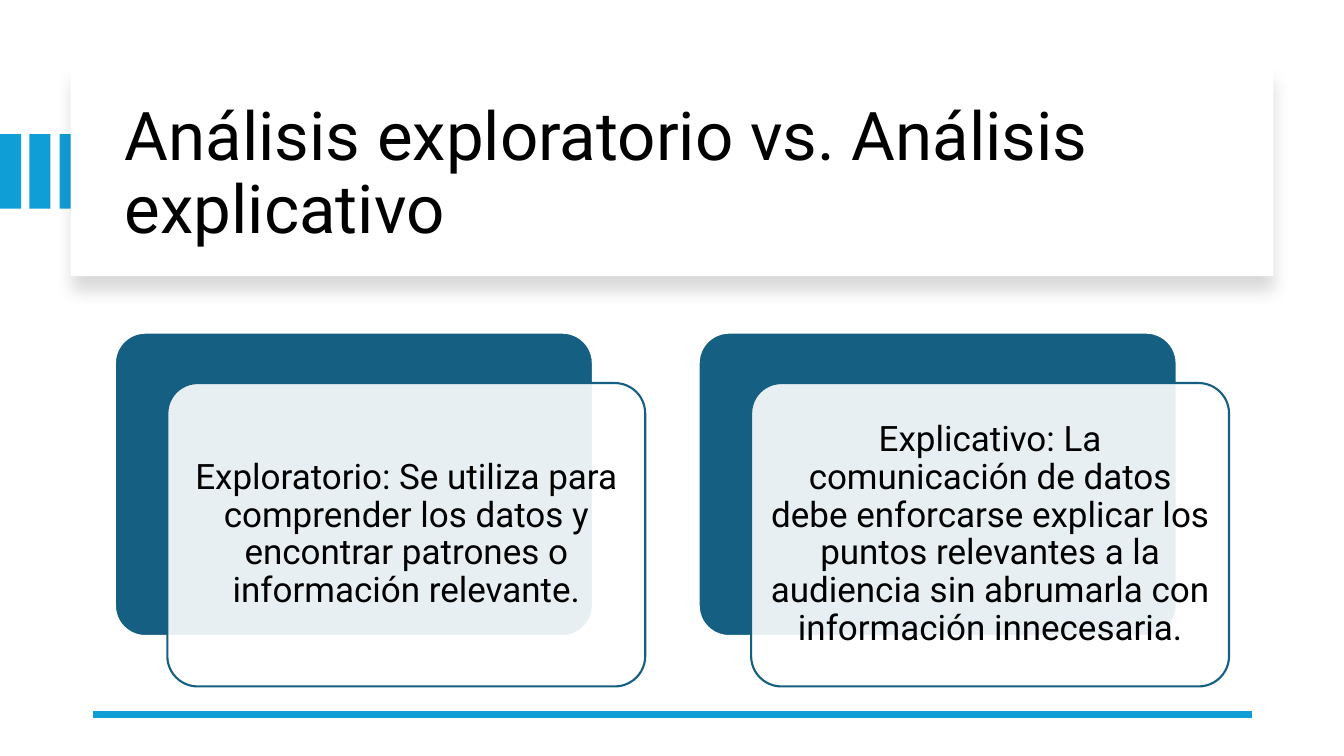
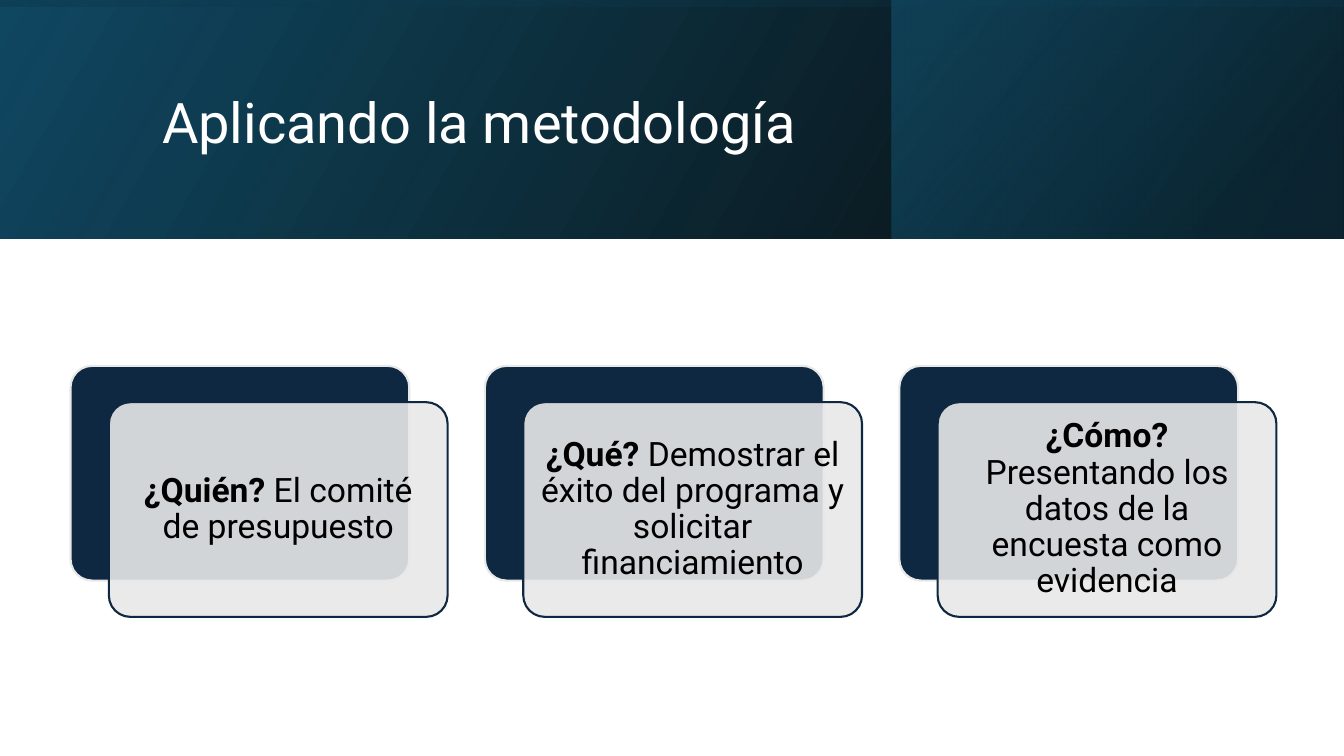
"""Builds two slides that set out paired or triple cards under a title."""
from lxml import etree
from pptx import Presentation
from pptx.dml.color import RGBColor
from pptx.enum.shapes import MSO_CONNECTOR, MSO_SHAPE as SHAPE
from pptx.enum.text import MSO_ANCHOR as ANCHOR, PP_ALIGN as ALIGN
from pptx.oxml import parse_xml
from pptx.oxml.ns import nsdecls, qn
from pptx.util import Pt

PX = 9144
WIDTH, HEIGHT = 1333, 750
FONT = "Roboto"
COLORS = {
    "white": "FFFFFF",
    "black": "000000",
    "sky": "0F9ED5",
    "teal": "156082",
    "deep": "104862",
    "night": "0B3041",
    "navy": "0E2841",
    "mist": "E8E8E8",
}


def rgb(name):
    """Return a palette colour."""
    return RGBColor.from_string(COLORS[name])


def px(*lengths):
    """Turn px lengths into EMU."""
    return [length * PX for length in lengths]


def add_box(slide, box, kind=SHAPE.RECTANGLE, fill=None, line=None):
    """Add a preset shape without shadow, with an optional fill and outline."""
    sp = slide.shapes.add_shape(kind, *px(*box))
    sp.shadow.inherit = False
    if fill:
        sp.fill.solid()
        sp.fill.fore_color.rgb = rgb(fill)
    if line:
        sp.line.color.rgb = rgb(line)
        sp.line.width = Pt(1.5)
    else:
        sp.line.fill.background()
    return sp


def set_alpha(sp, percent):
    """Make a solid fill partly transparent."""
    color = sp.fill._xPr.find(qn("a:solidFill"))[0]
    etree.SubElement(color, qn("a:alpha"), val=str(percent * 1000))


def set_shadow(sp, alpha, blur, distance, angle):
    """Give a shape an outer shadow, with blur and distance in points."""
    effects = sp._element.spPr.find(qn("a:effectLst"))
    effects.append(parse_xml(
        f'<a:outerShdw {nsdecls("a")} blurRad="{Pt(blur)}" dist="{Pt(distance)}" '
        f'dir="{angle * 60000}" algn="t" rotWithShape="0">'
        f'<a:srgbClr val="{COLORS["black"]}"><a:alpha val="{alpha * 1000}"/>'
        '</a:srgbClr></a:outerShdw>'))


def add_gradient(slide, box, stops, angle, rotation=0):
    """Add a mirrored rectangle filled with (position, colour, alpha) stops."""
    sp = add_box(slide, box)
    sp.rotation = rotation
    spPr = sp._element.spPr
    spPr.find(qn("a:xfrm")).set("flipH", "1")
    marks = "".join(
        f'<a:gs pos="{pos * 1000}"><a:srgbClr val="{COLORS[name]}">'
        f'<a:alpha val="{alpha * 1000}"/></a:srgbClr></a:gs>'
        for pos, name, alpha in stops)
    spPr.find(qn("a:prstGeom")).addnext(parse_xml(
        f'<a:gradFill {nsdecls("a")}><a:gsLst>{marks}</a:gsLst>'
        f'<a:lin ang="{angle * 60000}" scaled="0"/></a:gradFill>'))


def write(sp, runs, size, color, align):
    """Write one paragraph of (text, bold) runs, centred vertically."""
    tf = sp.text_frame
    tf.word_wrap = True
    tf.vertical_anchor = ANCHOR.MIDDLE
    p = tf.paragraphs[0]
    p.alignment = align
    p.line_spacing = 0.9
    p.font.name = FONT
    p.font.size = Pt(size)
    p.font.color.rgb = rgb(color)
    for text, bold in runs:
        r = p.add_run()
        r.text = text
        if bold:
            r.font.bold = True
    return tf


def add_title(slide, box, text, size, color):
    """Add the slide title."""
    sp = slide.shapes.add_textbox(*px(*box))
    write(sp, [(text, False)], size, color, ALIGN.LEFT)


def add_card(slide, box, offset, runs, size, dark, light):
    """Add a dark card with a translucent text card shifted over it."""
    x, y, w, h = box
    dx, dy = offset
    back = add_box(slide, box, SHAPE.ROUNDED_RECTANGLE, dark, light)
    front = add_box(slide, (x + dx, y + dy, w, h),
                    SHAPE.ROUNDED_RECTANGLE, light, dark)
    for sp in (back, front):
        sp.adjustments[0] = 0.1
    set_alpha(front, 90)
    tf = write(front, runs, size, "black", ALIGN.CENTER)
    tf.margin_left = tf.margin_right = tf.margin_top = tf.margin_bottom = 10 * PX


def add_cards(slide, box, pitch, offset, texts, size, dark, light):
    """Lay out a row of cards, the first at the given box."""
    x, y, w, h = box
    for i, runs in enumerate(texts):
        add_card(slide, (x + i * pitch, y, w, h), offset, runs, size, dark, light)


def add_title_panel(slide, box, text):
    """Add the raised white title panel with the bars at its left."""
    x, y, w, h = box
    for i in range(3):
        add_box(slide, (i * 59 // 2, y + 66, 21, 74), fill="sky")
    set_shadow(add_box(slide, box, fill="white"), 15, 11, 10, 90)
    add_title(slide, (x + 44, y + 22, w - 80, h - 37), text, 48, "black")


def add_rule(slide, x1, x2, y):
    """Add the thick rule at the foot."""
    line = slide.shapes.add_connector(MSO_CONNECTOR.STRAIGHT, *px(x1, y, x2, y))
    line.line.color.rgb = rgb("sky")
    line.line.width = Pt(4.5)
    etree.SubElement(line._element.spPr, qn("a:effectLst"))


def add_title_band(slide, box, text):
    """Add the layered gradient band with its title."""
    x, y, w, h = box
    add_gradient(slide, box, [(0, "black", 96), (100, "deep", 100)], 330)
    add_gradient(slide, (x + 884, y, 448, h),
                 [(19, "night", 68), (100, "teal", 48)], 320)
    shift = (w - h) // 2
    add_gradient(slide, (x + shift, y - shift, h, w),
                 [(23, "deep", 16), (99, "black", 45)], 350, 270)
    add_title(slide, (x + 151, y + 38, 1063, 172), text, 40, "white")


def build_comparison(slide):
    """Build the slide that compares two kinds of analysis."""
    add_title_panel(slide, (70, 67, 1193, 207),
                    "Análisis exploratorio vs. Análisis explicativo")
    add_rule(slide, 92, 1242, 709)
    texts = [
        [("Exploratorio: Se utiliza para comprender los datos y encontrar "
          "patrones o información relevante.", False)],
        [("Explicativo: La comunicación de datos debe enforcarse explicar los "
          "puntos relevantes a la audiencia sin abrumarla con información "
          "innecesaria.", False)],
    ]
    add_cards(slide, (114, 330, 474, 301), 579, (52, 50), texts, 25,
              "teal", "white")


def build_method(slide):
    """Build the slide that applies the method in three questions."""
    add_title_band(slide, (0, 0, WIDTH, 237), "Aplicando la metodología")
    answers = [
        ("¿Quién? ", "El comité de presupuesto"),
        ("¿Qué? ", "Demostrar el éxito del programa y solicitar financiamiento"),
        ("¿Cómo? ", "Presentando los datos de la encuesta como evidencia"),
    ]
    texts = [[(question, True), (answer, False)] for question, answer in answers]
    add_cards(slide, (70, 363, 336, 213), 411, (38, 36), texts, 24,
              "navy", "mist")


def main():
    """Build and save the presentation."""
    prs = Presentation()
    prs.slide_width, prs.slide_height = px(WIDTH, HEIGHT)
    for build in (build_comparison, build_method):
        build(prs.slides.add_slide(prs.slide_layouts[6]))
    prs.save("out.pptx")


if __name__ == "__main__":
    main()
